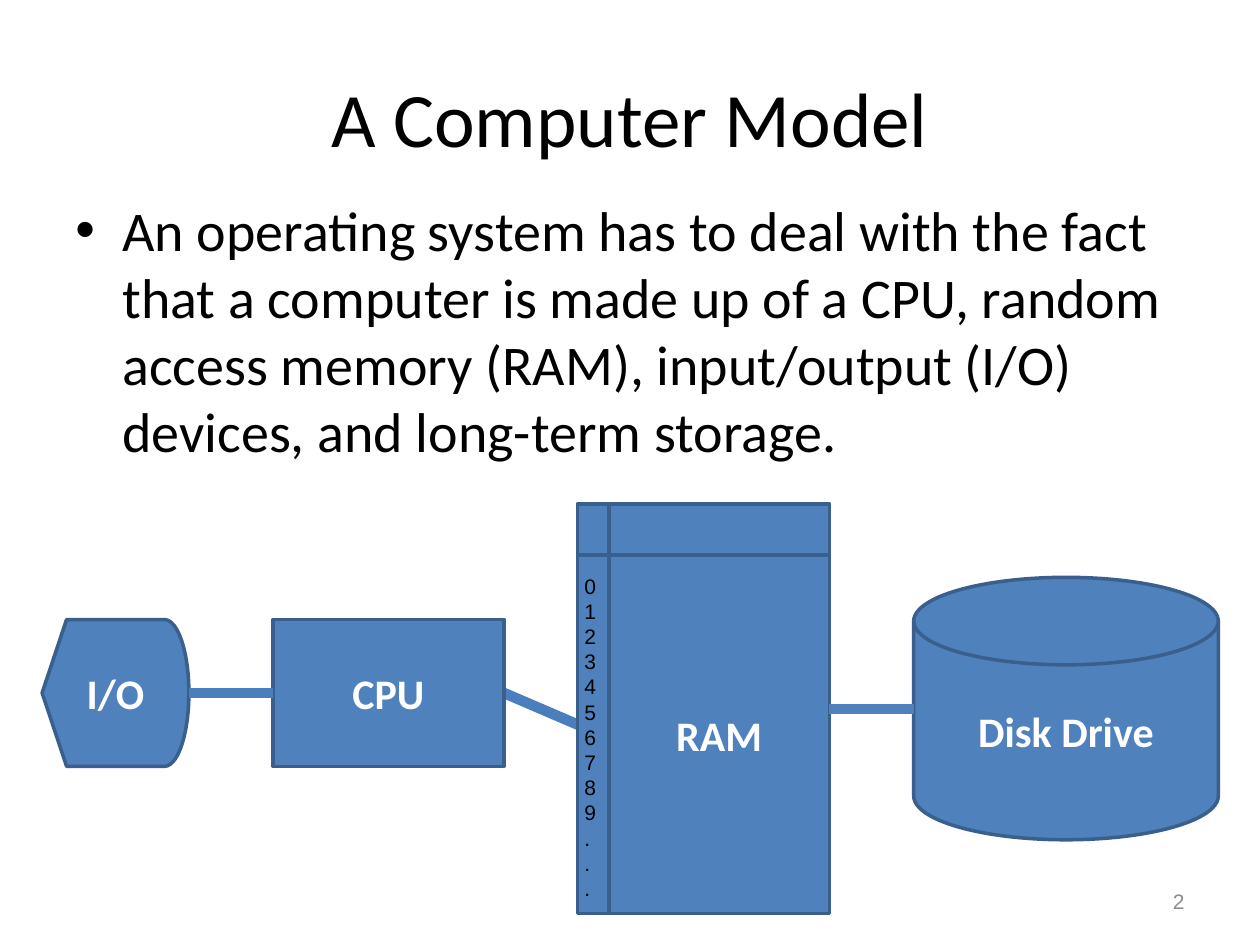
from lxml.etree import SubElement
from pptx import Presentation
from pptx.dml.color import RGBColor
from pptx.enum.shapes import MSO_CONNECTOR, MSO_SHAPE
from pptx.enum.text import MSO_ANCHOR, PP_ALIGN
from pptx.oxml.ns import qn
from pptx.util import Cm, Pt

TITLE = "A Computer Model"
BODY = (
    "An operating system has to deal with the fact that a computer is made up of "
    "a CPU, random access memory (RAM), input/output (I/O) devices, and "
    "long-term storage."
)
PAGE_NUMBER = "2"
ADDRESSES = list("0123456789...")

PARTS = [
    ("Disk Drive", MSO_SHAPE.FLOWCHART_MAGNETIC_DISK, (18.42, 11.64, 6.14, 5.29)),
    ("RAM", MSO_SHAPE.FLOWCHART_INTERNAL_STORAGE, (11.64, 10.16, 5.08, 8.26)),
    ("CPU", MSO_SHAPE.FLOWCHART_PROCESS, (5.5, 12.49, 4.66, 2.96)),
    ("I/O", MSO_SHAPE.FLOWCHART_DISPLAY, (0.85, 12.49, 2.96, 2.96)),
]
CPU_TO_RAM = ((10.16, 13.97), (12.28, 14.88), "4B7EBC")
BUSES = [
    ((16.72, 14.29), (18.42, 14.29), "4F81BD"),
    ((3.81, 13.97), (5.5, 13.97), "4B7EBC"),
]


def color(value):
    return RGBColor.from_string(value)


def write(frame, lines, size, font="Calibri", ink="000000", bold=False,
          align=PP_ALIGN.LEFT, anchor=MSO_ANCHOR.TOP, wrap=True, bullet=None):
    frame.word_wrap = wrap
    frame.vertical_anchor = anchor
    for index, line in enumerate(lines):
        para = frame.add_paragraph() if index else frame.paragraphs[0]
        para.alignment = align
        if bullet:
            properties = para._p.get_or_add_pPr()
            properties.set("marL", str(Cm(0.95)))
            properties.set("indent", str(-Cm(0.95)))
            SubElement(properties, qn("a:buFont"), typeface="Arial")
            SubElement(properties, qn("a:buChar"), char=bullet)
        span = para.add_run()
        span.text = line
        span.font.name = font
        span.font.size = Pt(size)
        span.font.bold = bold
        span.font.color.rgb = color(ink)


def add_text(page, place, lines, **style):
    box = page.shapes.add_textbox(*map(Cm, place))
    write(box.text_frame, lines, **style)


def add_part(page, label, kind, place):
    shape = page.shapes.add_shape(kind, *map(Cm, place))
    shape.shadow.inherit = False
    shape.fill.solid()
    shape.fill.fore_color.rgb = color("4F81BD")
    shape.line.color.rgb = color("3A5F8C")
    shape.line.width = Pt(2)
    write(shape.text_frame, [label], size=24, ink="FFFFFF", bold=True,
          align=PP_ALIGN.CENTER, anchor=MSO_ANCHOR.MIDDLE)


def add_bus(page, start, end, ink):
    bus = page.shapes.add_connector(MSO_CONNECTOR.STRAIGHT, *map(Cm, start + end))
    bus.line.color.rgb = color(ink)
    bus.line.width = Pt(6)
    SubElement(bus._element.spPr, qn("a:effectLst"))


def main():
    deck = Presentation()
    deck.slide_width, deck.slide_height = Cm(25.4), Cm(19.05)
    page = deck.slides.add_slide(deck.slide_layouts[6])

    add_bus(page, *CPU_TO_RAM)
    add_text(page, (1.27, 0.76, 22.86, 3.18), [TITLE], size=44,
             align=PP_ALIGN.CENTER, anchor=MSO_ANCHOR.MIDDLE)
    add_text(page, (1.27, 3.81, 22.86, 13.2), [BODY], size=32, bullet="•")
    add_text(page, (18.21, 17.65, 5.92, 1.02), [PAGE_NUMBER], size=12, font="Arial",
             ink="8C8C8C", align=PP_ALIGN.RIGHT, anchor=MSO_ANCHOR.MIDDLE)
    for part in PARTS:
        add_part(page, *part)
    add_text(page, (11.53, 11.43, 0.74, 6.93), ADDRESSES, size=12, font="Arial",
             wrap=False)
    for bus in BUSES:
        add_bus(page, *bus)

    deck.save("out.pptx")


if __name__ == "__main__":
    main()
